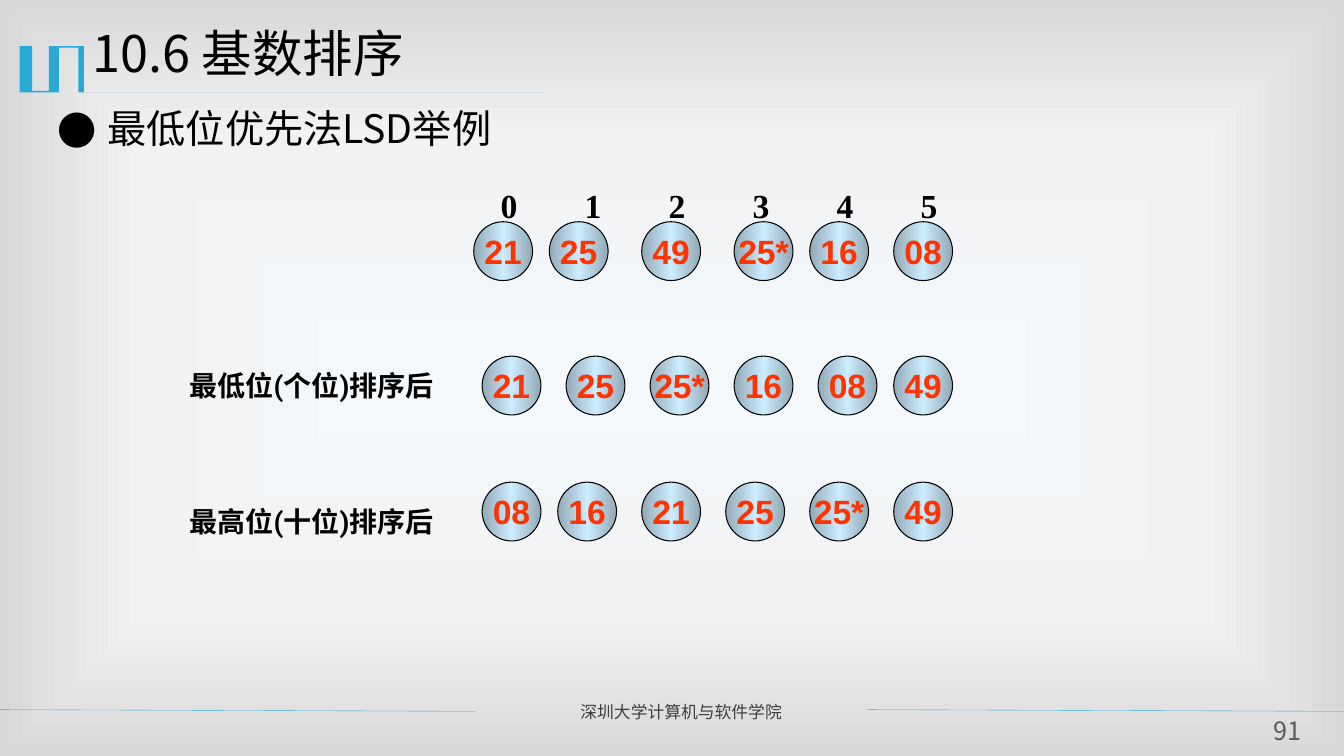
from lxml import etree
from pptx import Presentation
from pptx.dml.color import RGBColor
from pptx.enum.shapes import MSO_CONNECTOR as Connector, MSO_SHAPE as Shape
from pptx.enum.text import MSO_ANCHOR as Anchor, MSO_AUTO_SIZE as AutoSize, PP_ALIGN as Align
from pptx.oxml.ns import qn
from pptx.util import Pt

COLORS = {
    "accent": "28A9D6", "black": "000000", "footer": "3F3F3F", "number": "595959",
    "digits": "FF3300", "steel": "92A9B6", "shine": "CCECFF",
    "center": "F4F8FB", "middle": "F2F2F2", "edge": "D8D8D8",
}
CJK = "Noto Sans CJK SC"
INSETS = (7.2, 3.6)
DIAMETER = 42
STEP = 6
KEY_ROWS = [
    (0, {0: "21", 9: "25", 20: "49", 31: "25*", 40: "16", 50: "08"}),
    (96, {1: "21", 11: "25", 21: "25*", 31: "16", 41: "08", 50: "49"}),
    (186, {1: "08", 10: "16", 20: "21", 30: "25", 40: "25*", 50: "49"}),
]


def rgb(name):
    return RGBColor.from_string(COLORS[name])


def add_xml(parent, tag, **attributes):
    return etree.SubElement(parent, qn(tag), attributes)


def set_gradient(owner, stops, angle=None):
    gradient = owner.find(".//" + qn("a:gradFill"))
    for child in list(gradient):
        gradient.remove(child)
    stop_list = add_xml(gradient, "a:gsLst")
    for percent, name in stops:
        stop = add_xml(stop_list, "a:gs", pos=str(percent * 1000))
        add_xml(stop, "a:srgbClr", val=COLORS[name])
    if angle is None:
        rect = add_xml(gradient, "a:path", path="rect")
        add_xml(rect, "a:fillToRect", l="50000", t="50000", r="50000", b="50000")
    else:
        add_xml(gradient, "a:lin", ang=str(angle * 60000), scaled="0")


def write(frame, text, size, font=CJK, color="black", bold=False, align=Align.LEFT,
          anchor=Anchor.TOP, wrap=True, insets=INSETS, spacing=1.0, gap=0,
          bullet=None, hanging=0, tab_stops=()):
    frame.auto_size = AutoSize.NONE
    frame.word_wrap = wrap
    frame.vertical_anchor = anchor
    frame.margin_left = frame.margin_right = Pt(insets[0])
    frame.margin_top = frame.margin_bottom = Pt(insets[1])
    for index, line in enumerate(text.split("\n")):
        paragraph = frame.add_paragraph() if index else frame.paragraphs[0]
        properties = paragraph._p.get_or_add_pPr()
        if bullet:
            properties.set("marL", str(Pt(hanging)))
            properties.set("indent", str(-Pt(hanging)))
            add_xml(properties, "a:buFont", typeface=font)
            add_xml(properties, "a:buChar", char=bullet)
        if tab_stops:
            tabs = add_xml(properties, "a:tabLst")
            for stop in tab_stops:
                add_xml(tabs, "a:tab", pos=str(Pt(stop)), algn="l")
        paragraph.alignment = align
        paragraph.line_spacing = spacing
        paragraph.space_before = Pt(gap if index else 0)
        run = paragraph.add_run()
        run.text = line
        run.font.size = Pt(size)
        run.font.bold = bold
        run.font.color.rgb = rgb(color)
        run.font.name = font
        add_xml(run._r.get_or_add_rPr(), "a:ea", typeface=font)


def add_text(slide, left, top, width, height, text, **style):
    box = slide.shapes.add_textbox(Pt(left), Pt(top), Pt(width), Pt(height))
    write(box.text_frame, text, **style)


def add_header_mark(slide, left, top):
    outline = [(45.4, 0), (46, 0), (46, 32.4), (375, 32.4), (375, 33.1), (41.8, 33.1),
               (41.8, 1.4), (28.8, 1.4), (28.8, 33.1), (0, 33.1), (0, 0), (9.4, 0),
               (9.4, 31.7), (21.6, 31.7), (21.6, 0)]
    points = [(left + x, top + y) for x, y in outline]
    builder = slide.shapes.build_freeform(*points[0], scale=Pt(1))
    builder.add_line_segments(points[1:], close=True)
    mark = builder.convert_to_shape()
    mark.shadow.inherit = False
    mark.fill.solid()
    mark.fill.fore_color.rgb = rgb("accent")
    mark.line.fill.background()


def add_footer(slide, left, top, width):
    rule_width = 340
    for start in (left, left + width - rule_width):
        rule = slide.shapes.add_connector(
            Connector.STRAIGHT, Pt(start), Pt(top), Pt(start + rule_width), Pt(top + 1.2))
        rule.line.color.rgb = rgb("accent")
        rule.line.width = Pt(0.25)
        add_xml(rule._element.spPr, "a:effectLst")
    add_text(slide, left + 407.5, top - 9.4, 205.2, 21.6, "深圳大学计算机与软件学院",
             size=12, color="footer", align=Align.JUSTIFY)
    add_text(slide, left + 898.6, top + 6.5, 42.5, 22.3, "91", size=18, color="number",
             align=Align.CENTER, insets=(0, 0), spacing=0.9)


def add_title(slide, left, top, width, height):
    title = slide.shapes.title
    title.left, title.top, title.width, title.height = map(Pt, (left, top, width, height))
    write(title.text_frame, "10.6 基数排序", size=36, spacing=0.9)


def add_key(slide, left, top, key):
    ball = slide.shapes.add_shape(Shape.OVAL, Pt(left), Pt(top), Pt(DIAMETER), Pt(DIAMETER))
    ball.shadow.inherit = False
    ball.fill.gradient()
    set_gradient(ball._element, [(0, "steel"), (50, "shine"), (100, "steel")], angle=0)
    ball.line.color.rgb = rgb("black")
    ball.line.width = Pt(0.75)
    write(ball.text_frame, key, size=24, font="Arial", color="digits", bold=True,
          align=Align.CENTER, anchor=Anchor.MIDDLE, wrap=False)


def add_sorting_example(slide, left, top):
    keys_left, keys_top = left + 210.2, top + 30.2
    add_text(slide, left + 222.4, top, 350.6, 36, "\t".join("012345"), size=24,
             font="Times New Roman", bold=True, wrap=False,
             tab_stops=[60 * index for index in range(1, 6)])
    for row_offset, keys in KEY_ROWS:
        for column, key in keys.items():
            add_key(slide, keys_left + STEP * column, keys_top + row_offset, key)
    add_text(slide, left, top + 131.7, 198, 128.2,
             "最低位(个位)排序后\n最高位(十位)排序后",
             size=20, font="Roboto", bold=True, gap=73)


def main():
    deck = Presentation()
    deck.slide_width, deck.slide_height = Pt(960), Pt(540)
    slide = deck.slides.add_slide(deck.slide_layouts[5])
    slide.background.fill.gradient()
    set_gradient(slide.element, [(0, "center"), (63, "middle"), (100, "edge")])
    add_header_mark(slide, 13.7, 33.1)
    add_footer(slide, 0, 506.9, 960)
    add_text(slide, 33.8, 74.9, 873.4, 405.4, "最低位优先法LSD举例", size=28,
             spacing=0.9, bullet="●", hanging=36)
    add_title(slide, 59, 17.3, 864, 62.6)
    add_sorting_example(slide, 128.2, 128.2)
    deck.save("out.pptx")


if __name__ == "__main__":
    main()
